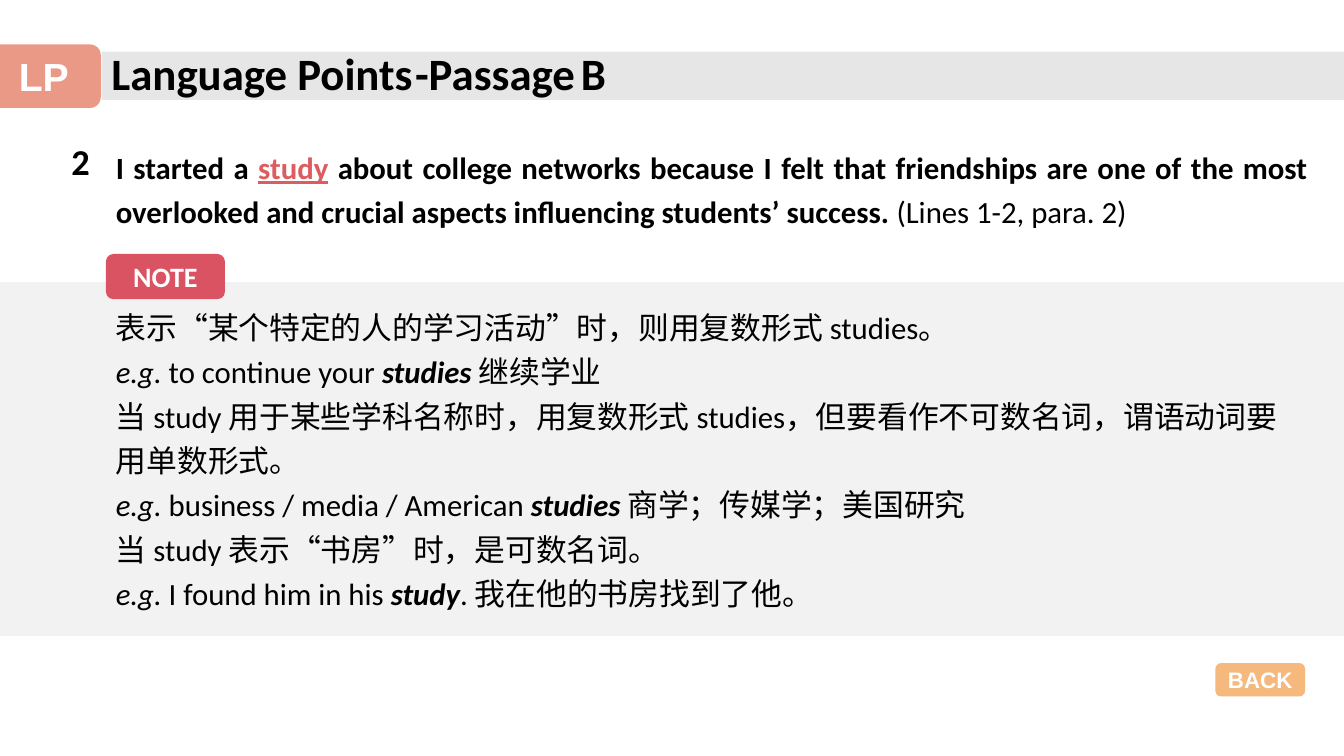
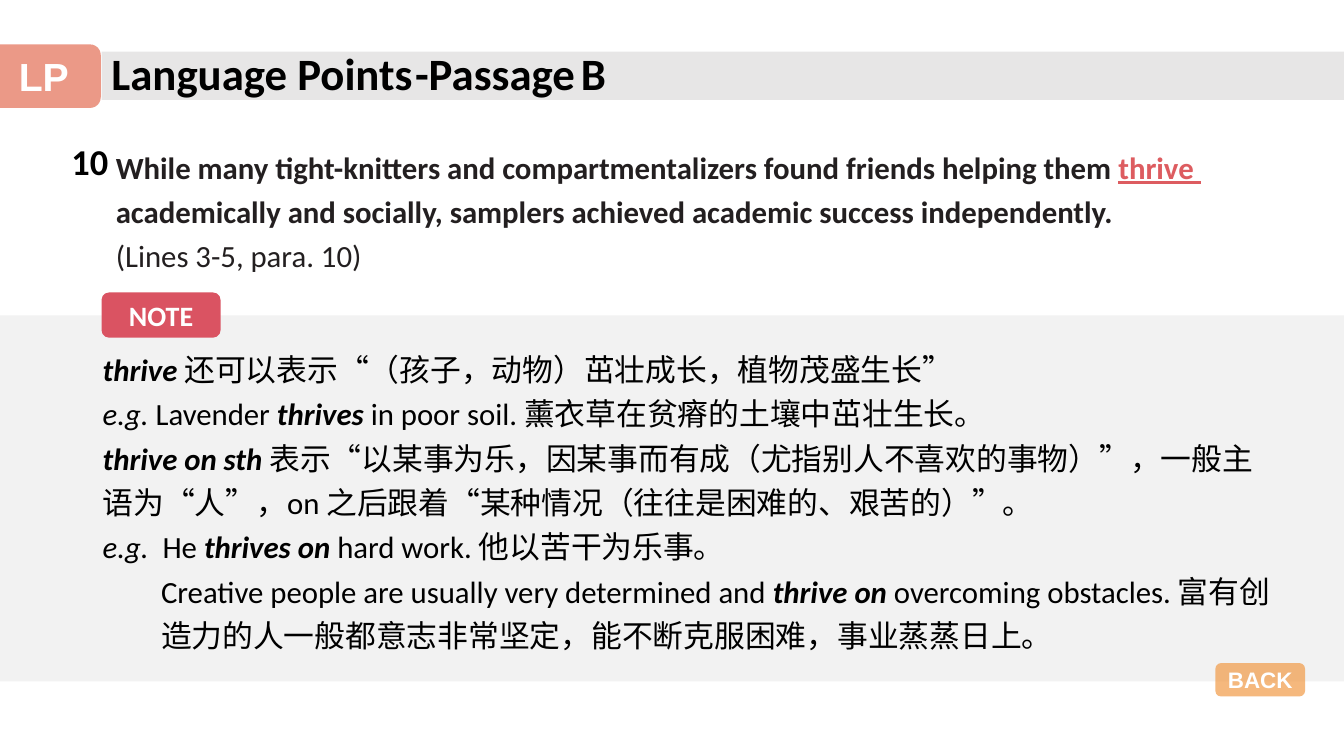
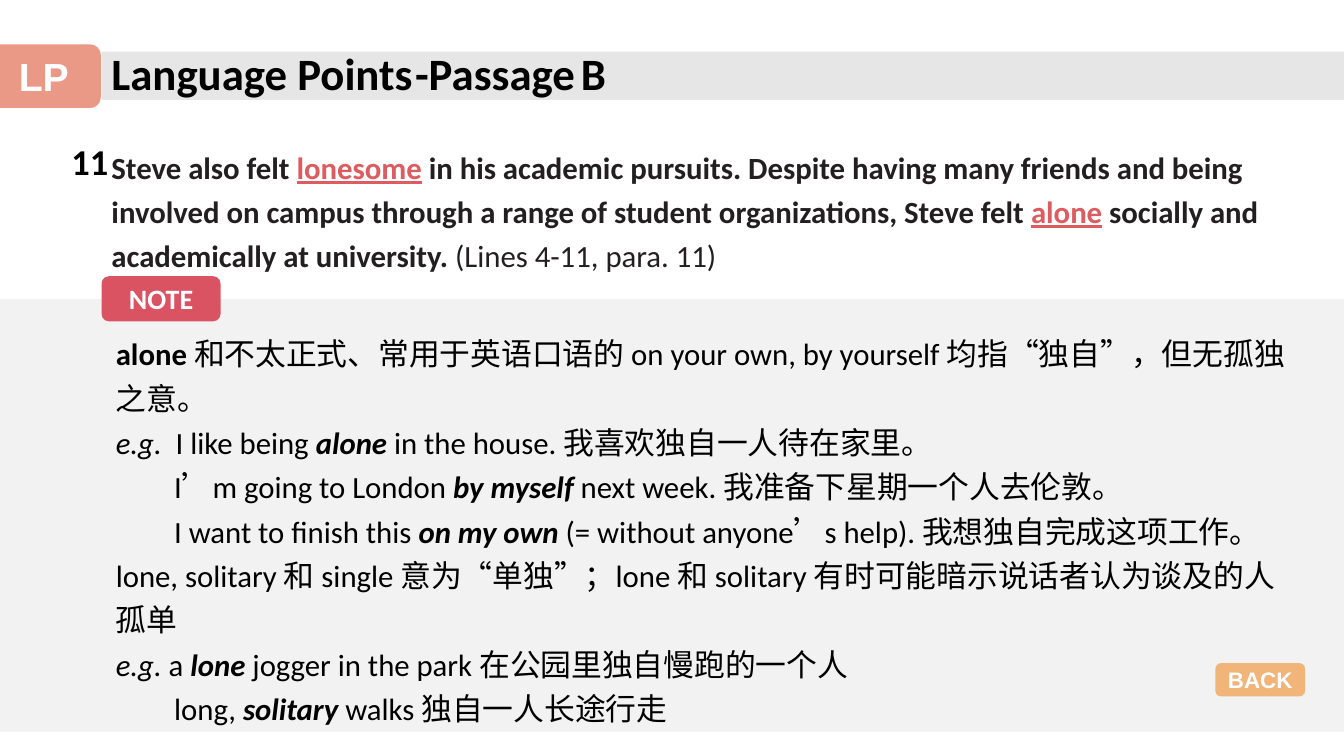
from dataclasses import dataclass

from lxml.etree import SubElement
from pptx import Presentation
from pptx.dml.color import RGBColor
from pptx.enum.shapes import MSO_SHAPE as Preset
from pptx.enum.text import MSO_ANCHOR as Anchor, PP_ALIGN as Align
from pptx.oxml.ns import qn
from pptx.util import Cm, Pt


@dataclass(frozen=True)
class Theme:
    body_font: str = "Calibri"
    label_font: str = "Arial"
    black: str = "000000"
    ink: str = "231F20"
    white: str = "FFFFFF"
    keyword: str = "DD5C60"
    title_bar: str = "E7E6E6"
    note_band: str = "F2F2F2"
    note_badge: str = "DA5362"
    section_tab: str = "E47057"
    back_button: str = "F19B48"
    title_size: int = 32
    tab_size: int = 28
    number_size: int = 26
    text_size: int = 22
    badge_size: int = 20
    gap_size: int = 18
    back_size: int = 16
    tint: int = 71
    line_spacing: float = 1.2
    indent: float = 1.47


THEME = Theme()
WIDTH, HEIGHT = 33.87, 19.05

BOLD = {"bold": True}
ITALIC = {"italic": True}
STRONG = {"bold": True, "italic": True}
LIGHT = {"bold": False}
KEY = {"underline": True, "color": THEME.keyword}
EG = ("e.g.", ITALIC)


@dataclass
class Para:
    """A paragraph; each span is a plain string or a (text, style) pair."""
    spans: tuple
    indented: bool = False


def line(*spans):
    return Para(spans)


def indented(*spans):
    return Para(spans, True)


def style_font(font, color=None, size=None, **flags):
    if color:
        font.color.rgb = RGBColor.from_string(color)
    if size:
        font.size = Pt(size)
    for flag, value in flags.items():
        setattr(font, flag, value)


class LessonDeck:
    def __init__(self, theme):
        self.theme = theme
        self.deck = Presentation()
        self.deck.slide_width, self.deck.slide_height = Cm(WIDTH), Cm(HEIGHT)
        self.page = None

    def block(self, preset, frame, fill, opacity=100):
        shape = self.page.shapes.add_shape(preset, *map(Cm, frame))
        shape.shadow.inherit = False
        shape.line.fill.background()
        shape.fill.solid()
        shape.fill.fore_color.rgb = RGBColor.from_string(fill)
        if opacity < 100:
            color = shape.fill._xPr.find(".//" + qn("a:srgbClr"))
            SubElement(color, qn("a:alpha")).set("val", str(opacity * 1000))
        return shape

    def label(self, text, frame, fill, font, size, opacity=100):
        """Draw a rounded block with a centred bold caption."""
        shape = self.block(Preset.ROUNDED_RECTANGLE, frame, fill, opacity)
        shape.text_frame.vertical_anchor = Anchor.MIDDLE
        para = shape.text_frame.paragraphs[0]
        para.text = text
        para.alignment = Align.CENTER
        style_font(para.font, self.theme.white, size, name=font, bold=True)

    def text(self, frame, paras, size, color=None, bold=False, spacing=None, align=None):
        box = self.page.shapes.add_textbox(*map(Cm, frame))
        box.text_frame.word_wrap = True
        for index, content in enumerate(paras):
            para = box.text_frame.paragraphs[0] if index == 0 else box.text_frame.add_paragraph()
            if content.indented:
                properties = para._p.get_or_add_pPr()
                properties.set("marL", str(Cm(self.theme.indent)))
                properties.set("indent", "0")
            if spacing:
                para.line_spacing = spacing
            if align is not None:
                para.alignment = align
            style_font(para.font, color or self.theme.black, size,
                       name=self.theme.body_font, bold=bold)
            for item in content.spans:
                words, style = (item, {}) if isinstance(item, str) else item
                span = para.add_run()
                span.text = words
                style_font(span.font, **style)

    def header(self):
        theme = self.theme
        self.block(Preset.RECTANGLE, (2.56, 1.3, 31.31, 1.22), theme.title_bar)
        self.text((2.56, 1.04, 12.32, 1.63), [line("Language Points")],
                  theme.title_size, bold=True)
        self.label("LP", (-0.33, 1.12, 2.87, 1.6), theme.section_tab,
                   theme.label_font, theme.tab_size, theme.tint)
        gap = (" ", {"size": theme.gap_size, "bold": False})
        self.text((10.21, 1.04, 6.27, 1.63), [line("-Passage", gap, "B")],
                  theme.title_size, bold=True)

    def sentence(self, number, frame, paras, color, align=None):
        theme = self.theme
        self.text((1.55, 3.38, 1.6, 1.37), [line(number)], theme.number_size, bold=True)
        self.text(frame, paras, theme.text_size, color, True, theme.line_spacing, align)

    def note(self, band, badge, frame, paras):
        """Draw the grey band (top, height), its badge (left, top) and the notes."""
        theme = self.theme
        top, height = band
        self.block(Preset.RECTANGLE, (0, top, WIDTH, height), theme.note_band)
        self.text(frame, paras, theme.text_size, spacing=theme.line_spacing)
        self.label("NOTE", (*badge, 3, 1.14), theme.note_badge,
                   theme.body_font, theme.badge_size)

    def lesson(self, sentence, note):
        self.page = self.deck.slides.add_slide(self.deck.slide_layouts[6])
        self.header()
        self.note(**note)
        self.sentence(**sentence)
        self.label("BACK", (30.63, 16.71, 2.26, 0.84), self.theme.back_button,
                   self.theme.label_font, self.theme.back_size, self.theme.tint)


def main():
    lessons = LessonDeck(THEME)
    lessons.lesson(
        sentence=dict(
            number="2", frame=(2.67, 3.43, 30.53, 2.44), color=THEME.black, align=Align.JUSTIFY,
            paras=[line("I started a ", ("study", KEY),
                        " about college networks because I felt that friendships are one of "
                        "the most overlooked and crucial aspects influencing students’ success. ",
                        ("(Lines 1-2, para. 2)", LIGHT))]),
        note=dict(
            band=(7.11, 8.92), badge=(2.67, 6.4), frame=(2.67, 7.47, 30.07, 8.08),
            paras=[
                line("表示“某个特定的人的学习活动”时，则用复数形式 studies。"),
                line(EG, " to continue your ", ("studies ", STRONG), "继续学业"),
                line("当 study 用于某些学科名称时，用复数形式 studies，"
                     "但要看作不可数名词，谓语动词要用单数形式。"),
                line(EG, " business / media / American ", ("studies ", STRONG),
                     "商学；传媒学；美国研究"),
                line("当 study 表示“书房”时，是可数名词。"),
                line(EG, " I found him in his ", ("study", STRONG), ". 我在他的书房找到了他。"),
            ]))
    lessons.lesson(
        sentence=dict(
            number="10", frame=(2.67, 3.43, 30.71, 3.56), color=THEME.ink,
            paras=[
                line("While many tight-knitters and compartmentalizers found friends "
                     "helping them ", ("thrive ", KEY)),
                line("academically and socially, samplers achieved academic success "
                     "independently."),
                line(("(Lines 3-5, para. 10)", LIGHT)),
            ]),
        note=dict(
            band=(7.95, 9.22), badge=(2.56, 7.37), frame=(2.34, 8.53, 30.07, 8.08),
            paras=[
                line(("thrive ", STRONG), "还可以表示“（孩子，动物）茁壮成长，植物茂盛生长”"),
                line(EG, " Lavender ", ("thrives", STRONG),
                     " in poor soil. 薰衣草在贫瘠的土壤中茁壮生长。"),
                line(("thrive on sth ", STRONG),
                     "表示“以某事为乐，因某事而有成（尤指别人不喜欢的事物）”，"
                     "一般主语为“人”，on 之后跟着“某种情况（往往是困难的、艰苦的）”。"),
                line(EG, "  He ", ("thrives on ", STRONG), "hard work. 他以苦干为乐事。"),
                indented("Creative people are usually very determined and ",
                         ("thrive on ", STRONG),
                         "overcoming obstacles. 富有创造力的人一般都意志非常坚定，"
                         "能不断克服困难，事业蒸蒸日上。"),
            ]))
    lessons.lesson(
        sentence=dict(
            number="11", frame=(2.56, 3.43, 29.9, 3.56), color=THEME.ink,
            paras=[
                line("Steve also felt ", ("lonesome", KEY),
                     " in his academic pursuits. Despite having many friends and being"),
                line("involved on campus through a range of student organizations, Steve felt ",
                     ("alone", KEY), " socially and"),
                line("academically at university. ", ("(Lines 4-11, para. 11)", LIGHT)),
            ]),
        note=dict(
            band=(7.54, 10.9), badge=(2.56, 6.96), frame=(2.67, 8.13, 30.23, 10.31),
            paras=[
                line(("alone ", BOLD), "和不太正式、常用于英语口语的 on your own, by yourself "
                     "均指“独自”，但无孤独之意。"),
                line(EG, "  I like being ", ("alone ", STRONG),
                     "in the house. 我喜欢独自一人待在家里。"),
                indented("I’m going to London ", ("by myself ", STRONG),
                         "next week. 我准备下星期一个人去伦敦。"),
                indented("I want to finish this ", ("on my own ", STRONG),
                         "(= without anyone’s help). 我想独自完成这项工作。"),
                line("lone, solitary 和 single 意为“单独”；lone 和 solitary "
                     "有时可能暗示说话者认为谈及的人孤单"),
                line(EG, " a ", ("lone", STRONG), " jogger in the park 在公园里独自慢跑的一个人"),
                indented("long, ", ("solitary", STRONG), " walks 独自一人长途行走"),
            ]))
    lessons.deck.save("out.pptx")


if __name__ == "__main__":
    main()
